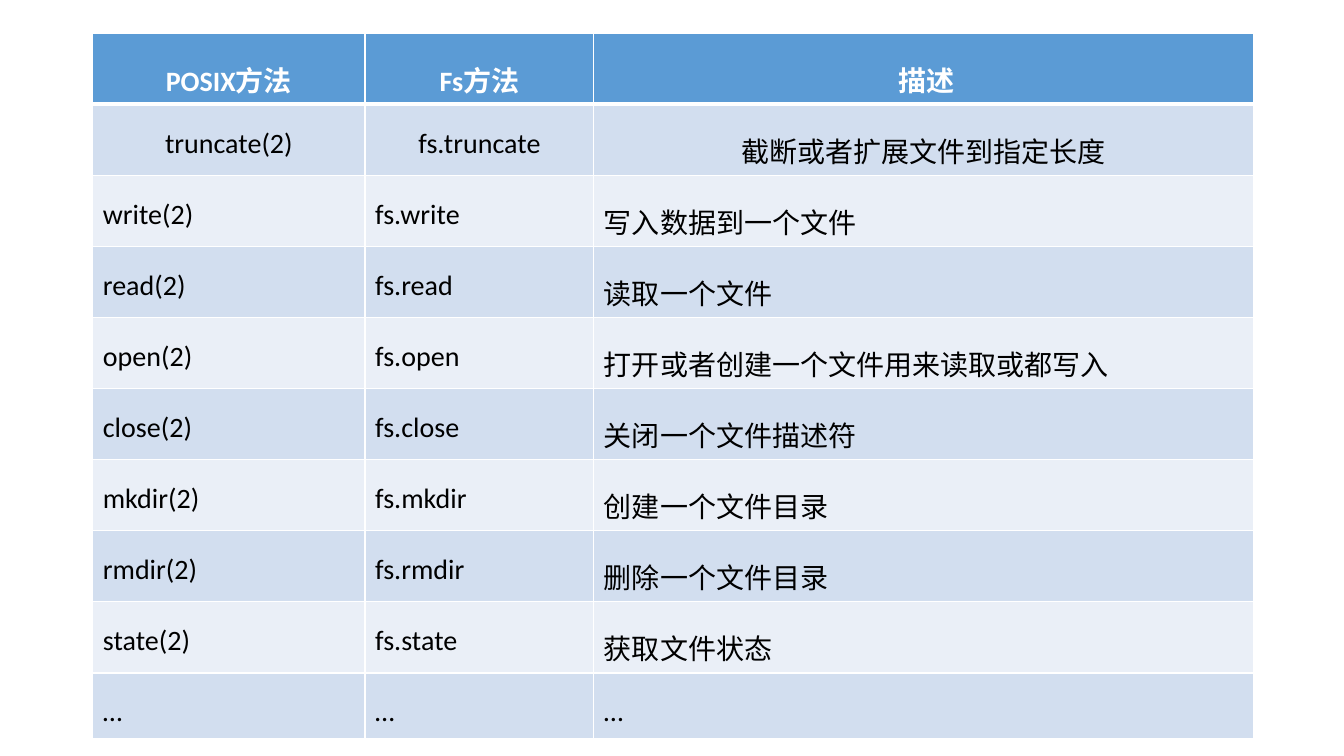
from lxml.etree import SubElement
from pptx import Presentation
from pptx.dml.color import RGBColor
from pptx.enum.text import PP_ALIGN
from pptx.oxml.ns import qn
from pptx.util import Inches, Pt

COLORS = {
    "header": "5B9BD5",
    "odd_row": "D2DEEF",
    "even_row": "EAEFF7",
    "border": "FFFFFF",
    "header_text": "FFFFFF",
    "body_text": "000000",
}
METHODS = [
    ("POSIX方法", "Fs方法", " 描述"),
    ("truncate(2)", "fs.truncate", "截断或者扩展文件到指定长度"),
    ("write(2)", "fs.write", "写入数据到一个文件"),
    ("read(2)", "fs.read", "读取一个文件"),
    ("open(2)", "fs.open", "打开或者创建一个文件用来读取或都写入"),
    ("close(2)", "fs.close", "关闭一个文件描述符"),
    ("mkdir(2)", "fs.mkdir", "创建一个文件目录"),
    ("rmdir(2)", "fs.rmdir", "删除一个文件目录"),
    ("state(2)", "fs.state", "获取文件状态"),
    ("…", "…", "…"),
]
COLUMN_WIDTHS = [2.7, 2.27, 6.54]
ROW_HEIGHT = 0.65


def add_borders(cell, top, bottom):
    """Draw the four cell borders; top and bottom are widths in points."""
    properties = cell._tc.get_or_add_tcPr()
    for side, width in (("L", 1), ("R", 1), ("T", top), ("B", bottom)):
        line = SubElement(properties, qn(f"a:ln{side}"), w=str(Pt(width)))
        fill = SubElement(line, qn("a:solidFill"))
        SubElement(fill, qn("a:srgbClr"), val=COLORS["border"])


prs = Presentation()
prs.slide_width, prs.slide_height = Inches(13.33), Inches(7.5)
slide = prs.slides.add_slide(prs.slide_layouts[6])

methods_table = slide.shapes.add_table(
    len(METHODS), len(COLUMN_WIDTHS), Inches(0.92), Inches(0.33),
    Inches(sum(COLUMN_WIDTHS)), Inches(ROW_HEIGHT * len(METHODS))).table
methods_table.horz_banding = False
for column, width in zip(methods_table.columns, COLUMN_WIDTHS):
    column.width = Inches(width)

for r, method in enumerate(METHODS):
    methods_table.rows[r].height = Inches(ROW_HEIGHT)
    is_header = r == 0
    row_fill = "header" if is_header else "odd_row" if r % 2 else "even_row"
    for c, text in enumerate(method):
        cell = methods_table.cell(r, c)
        add_borders(cell, top=3 if r == 1 else 1, bottom=3 if is_header else 1)
        cell.fill.solid()
        cell.fill.fore_color.rgb = RGBColor.from_string(COLORS[row_fill])
        cell.text = text
        paragraph = cell.text_frame.paragraphs[0]
        paragraph.alignment = PP_ALIGN.CENTER if r < 2 else PP_ALIGN.LEFT
        paragraph.line_spacing = 1.5
        font = paragraph.font
        font.name, font.size, font.bold = "Calibri", Pt(20), is_header
        font.color.rgb = RGBColor.from_string(
            COLORS["header_text" if is_header else "body_text"])

prs.save("out.pptx")
